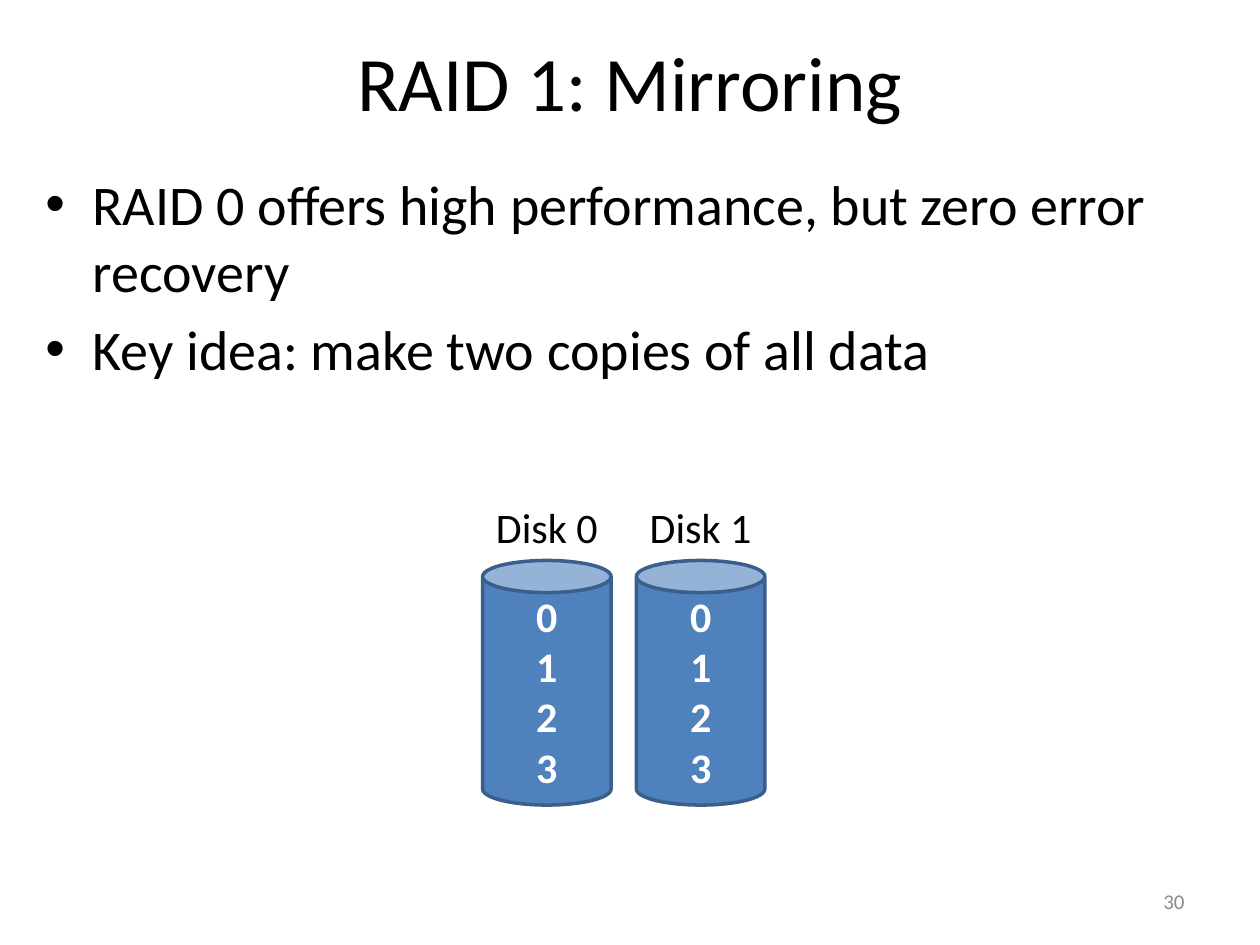
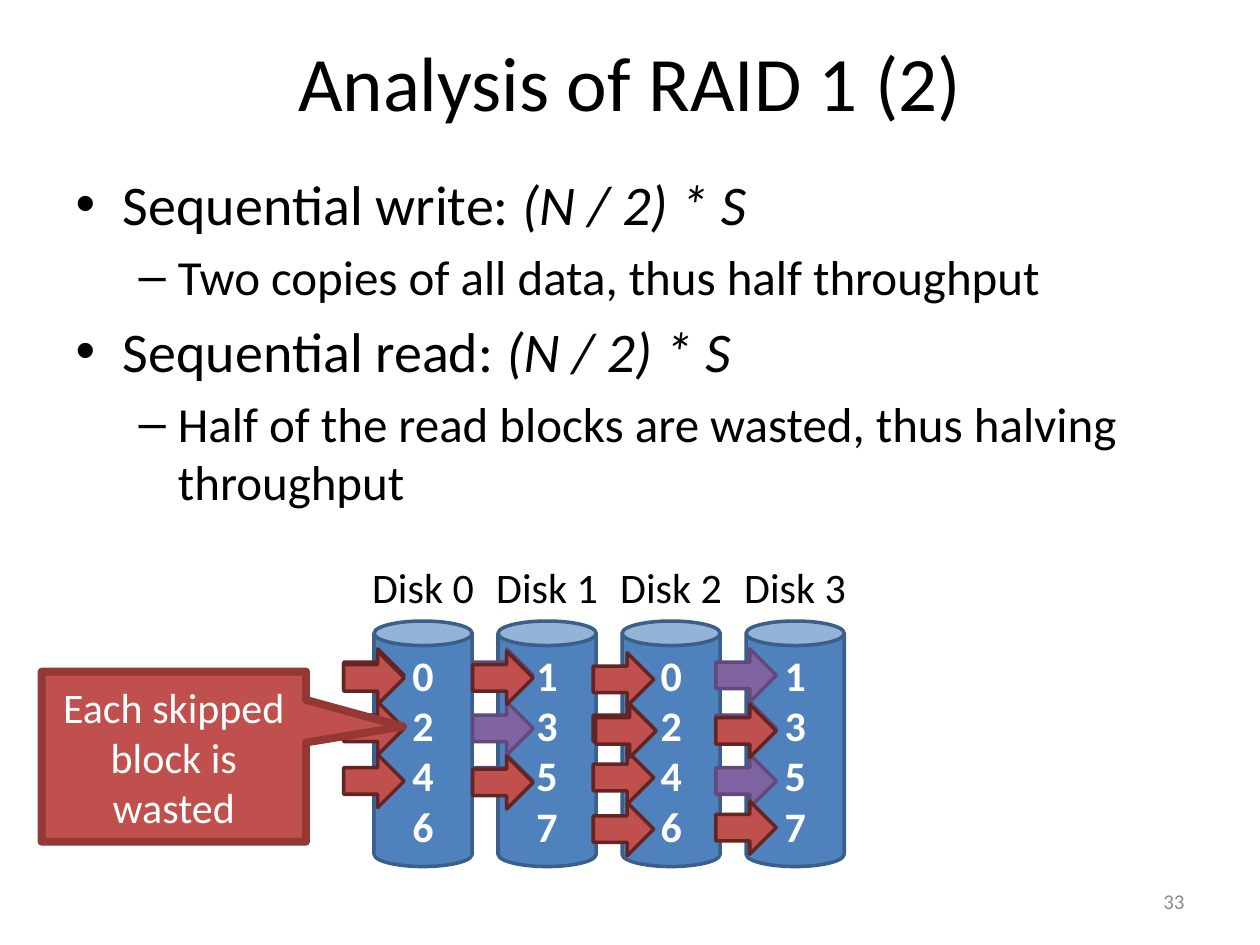
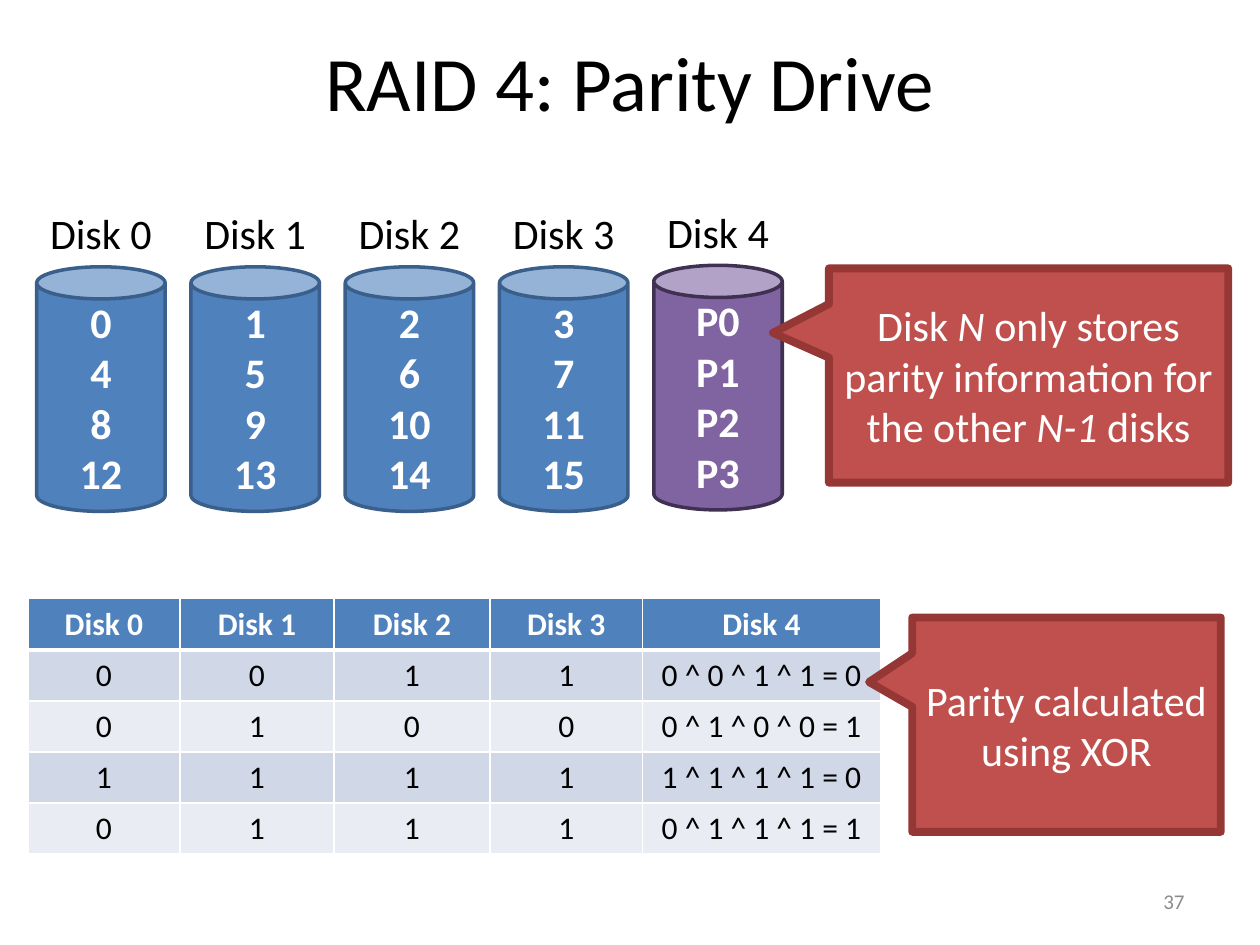
from lxml.etree import SubElement
from pptx import Presentation
from pptx.dml.color import RGBColor
from pptx.enum.shapes import MSO_SHAPE
from pptx.enum.text import MSO_ANCHOR, MSO_AUTO_SIZE, PP_ALIGN
from pptx.oxml.ns import qn
from pptx.util import Cm, Pt

# Shared look: colours are hex strings, lengths are centimetres
FONT = "Calibri"
BLACK, WHITE, GREY = "000000", "FFFFFF", "8B8B8B"
HEADER, BANDS = "4F81BD", ("D0D8E7", "E9ECF3")
DATA_DISK = ("4F81BD", "3A5F8B")
PARITY_DISK = ("8064A2", "403152")
READ_ARROW = ("C0504D", "632523")
SKIPPED_ARROW = ("8064A2", "604A7B")
CALLOUT = ("C0504D", "953735")
LEVELS = ((32, 6.4), (28, 5.6))  # size and space before, by bullet level
TITLE_BOX = (1.27, 0.03, 22.86, 3.18)
NUMBER_BOX = (18.21, 17.65, 5.92, 1.02)
LABEL_WIDTH, LABEL_HEIGHT, LABEL_RISE = 2.54, 1.27, 1.32
ARROW_SIZE = (1.22, 1.07)

# Content: text between underscores is italic
MIRRORING = {
    "title": "RAID 1: Mirroring",
    "number": "30",
    "bullets_box": (0.66, 3.28, 24.26, 5.05),
    "bullets": [
        (0, "RAID 0 offers high performance, but zero error recovery"),
        (0, "Key idea: make two copies of all data"),
    ],
    "disk_row": {"left": 9.73, "top": 11.3, "pitch": 3.1, "size": (2.59, 4.93)},
    "disks": ["0 1 2 3", "0 1 2 3"],
}
ANALYSIS = {
    "title": "Analysis of RAID 1 (2)",
    "number": "33",
    "bullets_box": (1.27, 3.28, 22.86, 7.8),
    "bullets": [
        (0, "Sequential write: _(N / 2) * S_"),
        (1, "Two copies of all data, thus half throughput"),
        (0, "Sequential read: _(N / 2) * S_"),
        (1, "Half of the read blocks are wasted, thus halving throughput"),
    ],
    "disk_row": {"left": 7.54, "top": 12.52, "pitch": 2.5, "size": (1.98, 4.95)},
    "disks": ["0 2 4 6", "1 3 5 7", "0 2 4 6", "1 3 5 7"],
    # Each entry: colours, left edge, top edges
    "arrows": [
        (READ_ARROW, 6.93, (13.08, 14.15)),
        (READ_ARROW, 11.96, (13.16, 14.15, 15.14)),
        (SKIPPED_ARROW, 9.53, (13.08, 14.15, 15.21)),
        (SKIPPED_ARROW, 14.43, (13.08, 14.15, 15.21)),
        (READ_ARROW, 6.93, (13.13, 15.21)),
        (READ_ARROW, 9.53, (13.13, 15.24)),
        (READ_ARROW, 12.01, (14.2,)),
        (READ_ARROW, 11.96, (16.18,)),
        (READ_ARROW, 14.43, (14.2, 16.15)),
    ],
    "callouts": [
        ((0.84, 13.54, 5.33, 3.43), (0.867, -0.177), "Each skipped block is wasted"),
    ],
}
PARITY = {
    "title": "RAID 4: Parity Drive",
    "number": "37",
    "disk_row": {"left": 0.74, "top": 5.38, "pitch": 3.11, "size": (2.59, 4.93)},
    "disks": ["0 4 8 12", "1 5 9 13", "2 6 10 14", "3 7 11 15", "P0 P1 P2 P3"],
    "table_corner": (0.56, 12.07),
    "table_columns": (3.07, 3.1, 3.15, 3.07, 4.8),
    "table_row_height": 1.03,
    "table": [
        ("Disk 0", "Disk 1", "Disk 2", "Disk 3", "Disk 4"),
        ("0", "0", "1", "1", "0 ^ 0 ^ 1 ^ 1 = 0"),
        ("0", "1", "0", "0", "0 ^ 1 ^ 0 ^ 0 = 1"),
        ("1", "1", "1", "1", "1 ^ 1 ^ 1 ^ 1 = 0"),
        ("0", "1", "1", "1", "0 ^ 1 ^ 1 ^ 1 = 1"),
    ],
    "callouts": [
        ((16.71, 5.41, 8.05, 4.32), (-0.64, -0.199),
         "Disk _N_ only stores parity information for the other _N-1 _disks"),
        ((18.39, 12.45, 6.22, 4.32), (-0.64, -0.199), "Parity calculated using XOR"),
    ],
}


def rgb(colour):
    return RGBColor.from_string(colour)


def cm(lengths):
    return [Cm(length) for length in lengths]


def place(shape, box):
    shape.left, shape.top, shape.width, shape.height = cm(box)


def style(paragraph, size, colour, align=None, bold=None):
    paragraph.alignment = align
    for run in paragraph.runs:
        run.font.name, run.font.size, run.font.bold = FONT, Pt(size), bold
        run.font.color.rgb = rgb(colour)


def write_marked(paragraph, marked):
    for index, part in enumerate(marked.split("_")):
        if part:
            run = paragraph.add_run()
            run.text = part
            run.font.italic = index % 2 == 1


def add_preset(slide, preset, box, colours, line_width=2):
    shape = slide.shapes.add_shape(preset, *cm(box))
    shape.shadow.inherit = False
    fill, line = colours
    shape.fill.solid()
    shape.fill.fore_color.rgb = rgb(fill)
    shape.line.color.rgb = rgb(line)
    shape.line.width = Pt(line_width)
    return shape


def add_label(slide, text, box, size, colour, align):
    label = slide.shapes.add_textbox(*cm(box))
    label.text_frame.text = text
    label.text_frame.word_wrap = True
    style(label.text_frame.paragraphs[0], size, colour, align)
    return label.text_frame


def add_heading(slide, content):
    place(slide.shapes.title, TITLE_BOX)
    slide.shapes.title.text_frame.text = content["title"]
    style(slide.shapes.title.text_frame.paragraphs[0], 44, BLACK, PP_ALIGN.CENTER)
    number = add_label(slide, content["number"], NUMBER_BOX, 12, GREY, PP_ALIGN.RIGHT)
    number.vertical_anchor = MSO_ANCHOR.MIDDLE


def add_bullets(slide, box, bullets):
    body = slide.placeholders[1]
    place(body, box)
    frame = body.text_frame
    frame.auto_size = MSO_AUTO_SIZE.NONE
    for index, (level, marked) in enumerate(bullets):
        paragraph = frame.add_paragraph() if index else frame.paragraphs[0]
        size, gap = LEVELS[level]
        paragraph.level = level
        paragraph.space_before = Pt(gap if index else 0)
        write_marked(paragraph, marked)
        style(paragraph, size, BLACK)


def add_disks(slide, row, disks):
    width, height = row["size"]
    for index, blocks in enumerate(disks):
        is_parity = blocks.startswith("P")
        left = row["left"] + index * row["pitch"]
        top = row["top"] - (0.03 if is_parity else 0)
        disk = add_preset(slide, MSO_SHAPE.CAN, (left, top, width, height),
                          PARITY_DISK if is_parity else DATA_DISK)
        disk.text_frame.text = "\n".join(blocks.split())
        disk.text_frame.vertical_anchor = MSO_ANCHOR.MIDDLE
        for paragraph in disk.text_frame.paragraphs:
            style(paragraph, 24, WHITE, PP_ALIGN.CENTER, bold=True)
        label_box = (left + (width - LABEL_WIDTH) / 2, top - LABEL_RISE,
                     LABEL_WIDTH, LABEL_HEIGHT)
        label = add_label(slide, f"Disk {index}", label_box, 24, BLACK, PP_ALIGN.CENTER)
        # Without side margins the label keeps to one line
        label.margin_left = label.margin_right = 0


def add_arrows(slide, arrows):
    for colours, left, tops in arrows:
        for top in tops:
            add_preset(slide, MSO_SHAPE.RIGHT_ARROW, (left, top, *ARROW_SIZE), colours)


def add_callouts(slide, callouts):
    for box, tip, marked in callouts:
        callout = add_preset(slide, MSO_SHAPE.RECTANGULAR_CALLOUT, box, CALLOUT, 4.5)
        callout.adjustments[0], callout.adjustments[1] = tip
        callout.text_frame.word_wrap = True
        callout.text_frame.vertical_anchor = MSO_ANCHOR.MIDDLE
        paragraph = callout.text_frame.paragraphs[0]
        write_marked(paragraph, marked)
        style(paragraph, 24, WHITE, PP_ALIGN.CENTER)


def add_bottom_border(cell, colour, width):
    properties = cell._tc.get_or_add_tcPr()
    border = SubElement(properties, qn("a:lnB"), w=str(Pt(width)))
    fill = SubElement(border, qn("a:solidFill"))
    SubElement(fill, qn("a:srgbClr"), val=colour)
    properties.insert(0, border)  # borders come before the cell fill


def add_parity_table(slide, content):
    rows, widths = content["table"], content["table_columns"]
    height = content["table_row_height"]
    box = (*content["table_corner"], sum(widths), height * len(rows))
    table = slide.shapes.add_table(len(rows), len(widths), *cm(box)).table
    for column, width in zip(table.columns, widths):
        column.width = Cm(width)
    for r, values in enumerate(rows):
        table.rows[r].height = Cm(height)
        for c, value in enumerate(values):
            cell = table.cell(r, c)
            cell.text_frame.text = value
            cell.fill.solid()
            cell.fill.fore_color.rgb = rgb(BANDS[(r - 1) % 2] if r else HEADER)
            style(cell.text_frame.paragraphs[0], 18, BLACK if r else WHITE,
                  PP_ALIGN.CENTER, bold=r == 0)
            if r == 0:
                add_bottom_border(cell, WHITE, 3)


def main():
    deck = Presentation()
    deck.slide_width, deck.slide_height = cm((25.4, 19.05))
    for content in (MIRRORING, ANALYSIS, PARITY):
        # Layout 1 has a title and a body, layout 5 a title only
        layout = deck.slide_layouts[1 if "bullets" in content else 5]
        slide = deck.slides.add_slide(layout)
        add_heading(slide, content)
        if "bullets" in content:
            add_bullets(slide, content["bullets_box"], content["bullets"])
        add_disks(slide, content["disk_row"], content["disks"])
        add_arrows(slide, content.get("arrows", []))
        if "table" in content:
            add_parity_table(slide, content)
        add_callouts(slide, content.get("callouts", []))
    deck.save("out.pptx")


if __name__ == "__main__":
    main()
